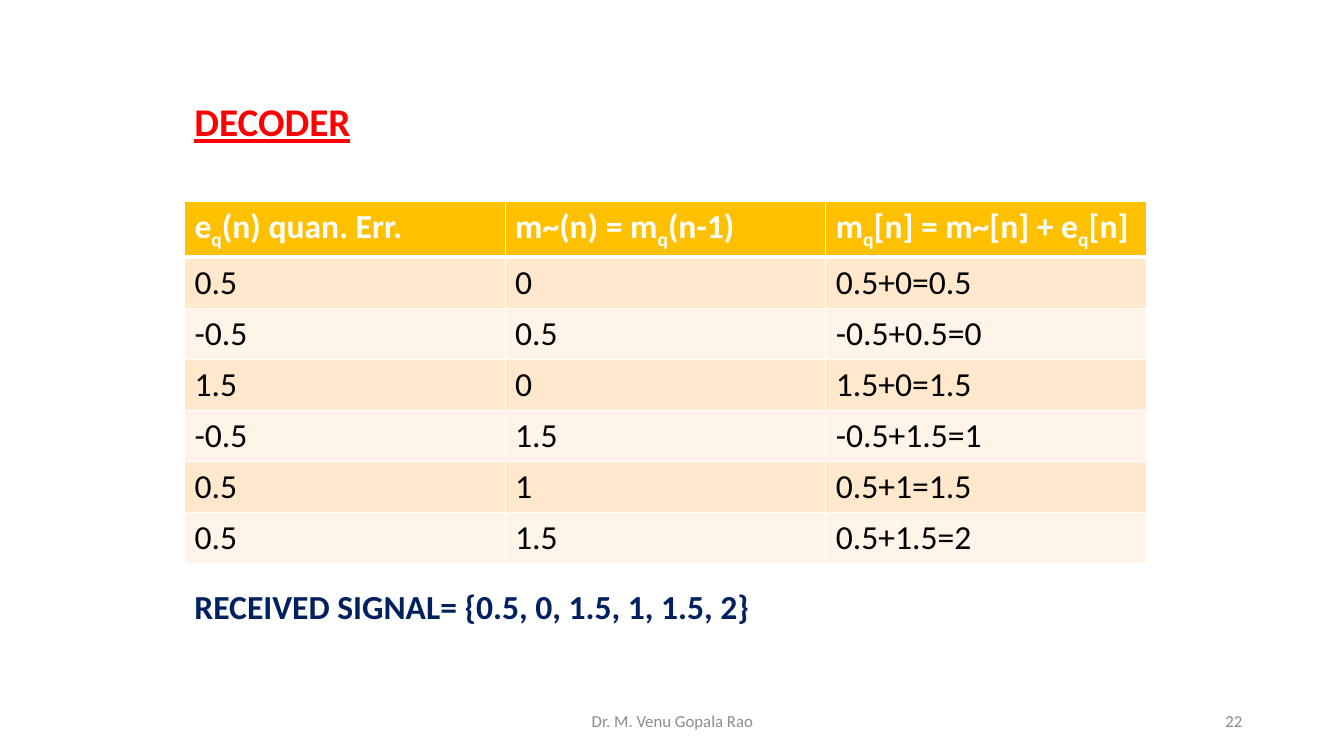
"""Build the decoder slide with its quantisation table and received signal."""
from dataclasses import dataclass

from lxml.etree import SubElement
from pptx import Presentation
from pptx.dml.color import RGBColor
from pptx.enum.text import MSO_ANCHOR as Anchor, PP_ALIGN as Align
from pptx.oxml.ns import qn
from pptx.slide import Slide
from pptx.table import _Cell as Cell
from pptx.text.text import Font
from pptx.util import Emu, Pt

PX = 9144
FONT_NAME = "Calibri"
WHITE = RGBColor(0xFF, 0xFF, 0xFF)
BLACK = RGBColor(0x00, 0x00, 0x00)
GREY = RGBColor(0x8C, 0x8C, 0x8C)
RED = RGBColor(0xFF, 0x00, 0x00)
NAVY = RGBColor(0x00, 0x20, 0x60)
GOLD = RGBColor(0xFF, 0xC0, 0x00)
BANDS = (RGBColor(0xFF, 0xF4, 0xE7), RGBColor(0xFF, 0xE8, 0xCC))

TABLE_LEFT, TABLE_TOP = 183, 200
COLUMN_WIDTH, HEADER_HEIGHT, ROW_HEIGHT = 318, 54, 50
TABLE_TEXT_SIZE = 24
SUBSCRIPT_MARK = "|"
ROWS = (
    ("e|q|(n) quan. Err.", "m~(n) = m|q|(n-1)", "m|q|[n] = m~[n] + e|q|[n]"),
    ("0.5", "0", "0.5+0=0.5"),
    ("-0.5", "0.5", "-0.5+0.5=0"),
    ("1.5", "0", "1.5+0=1.5"),
    ("-0.5", "1.5", "-0.5+1.5=1"),
    ("0.5", "1", "0.5+1=1.5"),
    ("0.5", "1.5", "0.5+1.5=2"),
)


@dataclass(frozen=True)
class Label:
    """A single-line text box, with its place in px."""
    text: str
    left: int
    top: int
    width: int
    height: int
    size: int
    color: RGBColor
    bold: bool = False
    underline: bool = False
    align: Align = Align.LEFT
    anchor: Anchor = Anchor.TOP


LABELS = (
    Label("Dr. M. Venu Gopala Rao", 442, 695, 450, 40, 12, GREY,
          align=Align.CENTER, anchor=Anchor.MIDDLE),
    Label("22", 942, 695, 300, 40, 12, GREY,
          align=Align.RIGHT, anchor=Anchor.MIDDLE),
    Label("DECODER", 183, 92, 321, 57, 28, RED, bold=True, underline=True),
    Label("RECEIVED SIGNAL= {0.5, 0, 1.5, 1, 1.5, 2}",
          183, 576, 954, 50, 24, NAVY, bold=True),
)


def px(length: int) -> Emu:
    """Turn px into EMU."""
    return Emu(length * PX)


def style_font(font: Font, size: int, color: RGBColor, bold: bool) -> None:
    """Set the typeface, size, colour and weight."""
    font.name = FONT_NAME
    font.size = Pt(size)
    font.color.rgb = color
    font.bold = bold


def add_label(slide: Slide, label: Label) -> None:
    """Draw one text box."""
    shape = slide.shapes.add_textbox(
        px(label.left), px(label.top), px(label.width), px(label.height))
    text_frame = shape.text_frame
    text_frame.text = label.text
    text_frame.word_wrap = True
    text_frame.vertical_anchor = label.anchor
    paragraph = text_frame.paragraphs[0]
    paragraph.alignment = label.align
    font = paragraph.runs[0].font
    style_font(font, label.size, label.color, label.bold)
    font.underline = label.underline


def add_borders(cell: Cell, top: int, bottom: int) -> None:
    """Add white borders, with the top and bottom widths in points."""
    properties = cell._tc.get_or_add_tcPr()
    for side, width in (("L", 1), ("R", 1), ("T", top), ("B", bottom)):
        line = SubElement(properties, qn(f"a:ln{side}"), w=str(Pt(width)))
        fill = SubElement(line, qn("a:solidFill"))
        SubElement(fill, qn("a:srgbClr"), val=str(WHITE))


def fill_cell(cell: Cell, text: str, row_index: int) -> None:
    """Write and style one table cell."""
    is_header = row_index == 0
    add_borders(cell, 3 if row_index == 1 else 1, 3 if is_header else 1)
    cell.fill.solid()
    cell.fill.fore_color.rgb = GOLD if is_header else BANDS[row_index % 2]
    paragraph = cell.text_frame.paragraphs[0]
    for index, part in enumerate(text.split(SUBSCRIPT_MARK)):
        run = paragraph.add_run()
        run.text = part
        style_font(run.font, TABLE_TEXT_SIZE,
                   WHITE if is_header else BLACK, is_header)
        if index % 2:
            run._r.get_or_add_rPr().set("baseline", "-25000")


def add_decoder_table(slide: Slide) -> None:
    """Draw the decoder table."""
    column_count = len(ROWS[0])
    heights = [HEADER_HEIGHT] + [ROW_HEIGHT] * (len(ROWS) - 1)
    table = slide.shapes.add_table(
        len(ROWS), column_count, px(TABLE_LEFT), px(TABLE_TOP),
        px(COLUMN_WIDTH * column_count), px(sum(heights))).table
    for column in table.columns:
        column.width = px(COLUMN_WIDTH)
    for row_index, (row, height, texts) in enumerate(
            zip(table.rows, heights, ROWS)):
        row.height = px(height)
        for cell, text in zip(row.cells, texts):
            fill_cell(cell, text, row_index)


def main() -> None:
    """Build and save the presentation."""
    presentation = Presentation()
    presentation.slide_width = px(1333)
    presentation.slide_height = px(750)
    slide = presentation.slides.add_slide(presentation.slide_layouts[6])
    add_decoder_table(slide)
    for label in LABELS:
        add_label(slide, label)
    presentation.save("out.pptx")


if __name__ == "__main__":
    main()
